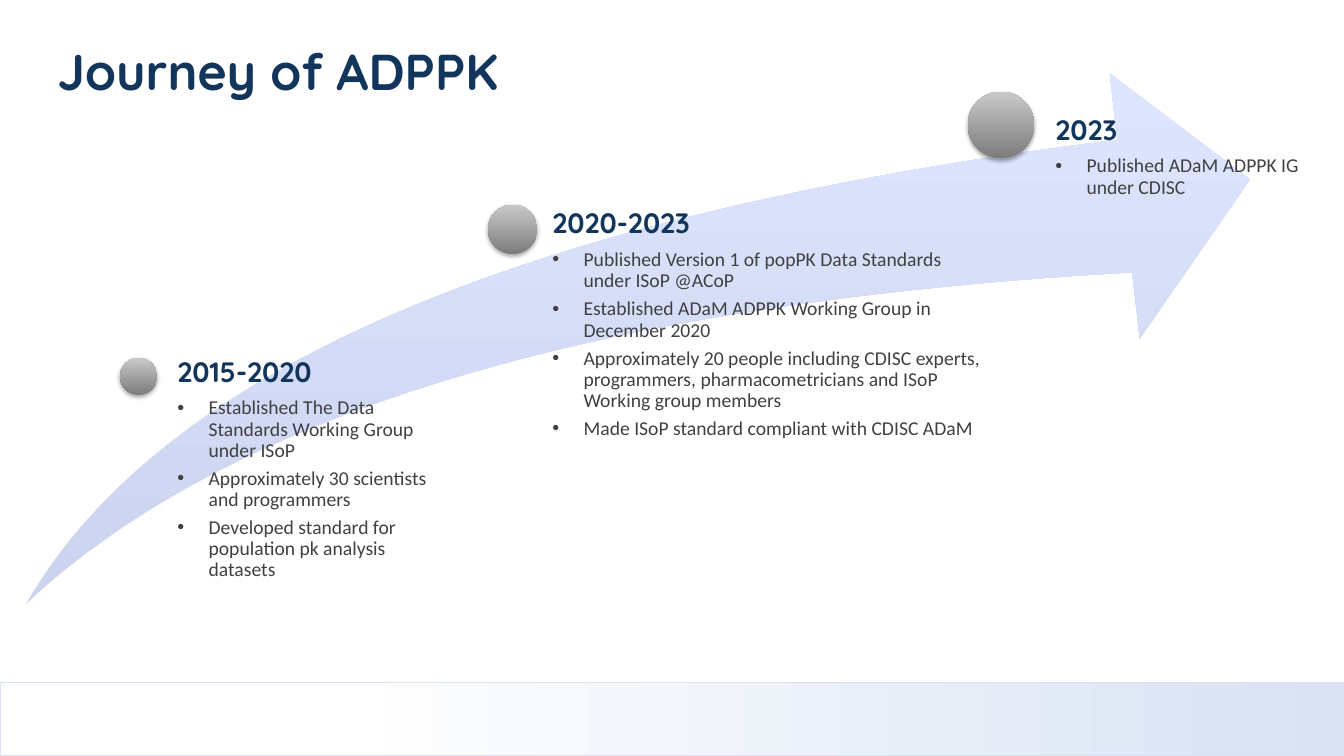
from dataclasses import dataclass
from typing import NamedTuple

from lxml import etree
from pptx import Presentation
from pptx.dml.color import RGBColor
from pptx.enum.shapes import MSO_SHAPE
from pptx.enum.text import MSO_ANCHOR
from pptx.oxml import parse_xml
from pptx.oxml.ns import nsdecls, qn
from pptx.util import Emu, Inches, Pt

RECTANGLE, OVAL, SWOOSH = MSO_SHAPE.RECTANGLE, MSO_SHAPE.OVAL, MSO_SHAPE.SWOOSH_ARROW
TOP, MIDDLE = MSO_ANCHOR.TOP, MSO_ANCHOR.MIDDLE
COLUMNS, ROWS = 160, 90
RIGHTWARD, UPWARD = 0, 270


@dataclass(frozen=True)
class Theme:
    heading_font: str = "Quicksand"
    body_font: str = "Calibri"
    title_size: int = 36
    heading_size: int = 20
    body_size: int = 14
    navy: str = "12355B"
    body: str = "404040"
    band_line: str = "D8E2F3"
    band: tuple = ((0, "FFFFFF"), (25, "FFFFFF"), (100, "D8E2F3"))
    arrow: tuple = ((0, "CBD3EE"), (100, "DEE5FF"))
    dot: tuple = ((0, "7C7C7C"), (100, "C9C9C9"))


class Box(NamedTuple):
    left: float
    top: float
    width: float
    height: float


THEME = Theme()
CELL = Inches(7.5) / ROWS

MILESTONES = [
    (Box(14.28, 42.6, 37.3, 43.3), 4.44, (6.84, 0), "2015-2020", [
        "Established The Data Standards Working Group under ISoP",
        "Approximately 30 scientists and programmers",
        "Developed standard for population pk analysis datasets",
    ]),
    (Box(58.08, 24.36, 59.04, 29.64), 5.88, (7.68, 0.6), "2020-2023", [
        "Published Version 1 of popPK Data Standards under ISoP @ACoP",
        "Established ADaM ADPPK Working Group in December 2020",
        "Approximately 20 people including CDISC experts, programmers, "
        "pharmacometricians and ISoP Working group members",
        "Made ISoP standard compliant with CDISC ADaM",
    ]),
    (Box(115.2, 10.92, 41.64, 60.36), 7.92, (10.44, 2.88), "2023", [
        "Published ADaM ADPPK IG under CDISC",
    ]),
]


def place(box):
    return [Emu(round(length * CELL)) for length in box]


def add_gradient_shape(page, kind, box, stops, angle):
    shape = page.shapes.add_shape(kind, *place(box))
    shape.shadow.inherit = False
    shape.line.fill.background()
    marks = "".join(
        f'<a:gs pos="{share * 1000}"><a:srgbClr val="{color}"/></a:gs>'
        for share, color in stops
    )
    gradient = parse_xml(
        f'<a:gradFill {nsdecls("a")} rotWithShape="1"><a:gsLst>{marks}</a:gsLst>'
        f'<a:lin ang="{angle * 60000}" scaled="0"/></a:gradFill>'
    )
    shape.element.spPr.find(qn("a:prstGeom")).addnext(gradient)
    return shape


def add_text_box(page, box, anchor):
    frame = page.shapes.add_textbox(*place(box)).text_frame
    frame.word_wrap = True
    frame.vertical_anchor = anchor
    frame.margin_left = frame.margin_right = frame.margin_top = frame.margin_bottom = 0
    return frame


def write(para, text, font, size, color, bold):
    para.line_spacing = 0.9
    span = para.add_run()
    span.text = text
    span.font.name = font
    span.font.size = Pt(size)
    span.font.bold = bold
    span.font.color.rgb = RGBColor.from_string(color)


def add_bullet(para):
    properties = para._p.get_or_add_pPr()
    indent = Inches(0.31)
    properties.set("marL", str(indent))
    properties.set("indent", str(-indent))
    etree.SubElement(properties, qn("a:buFont"), typeface="Arial")
    etree.SubElement(properties, qn("a:buChar"), char="•")


def add_band(page, box):
    band = add_gradient_shape(page, RECTANGLE, box, THEME.band, RIGHTWARD)
    band.line.color.rgb = RGBColor.from_string(THEME.band_line)
    band.line.width = Pt(1)


def add_title(page, box, text):
    frame = add_text_box(page, box, MIDDLE)
    write(frame.paragraphs[0], text, THEME.heading_font, THEME.title_size, THEME.navy, True)


def add_arrow(page, box):
    arrow = add_gradient_shape(page, SWOOSH, box, THEME.arrow, UPWARD)
    arrow.adjustments[0] = arrow.adjustments[1] = 0.25


def add_dot(page, box):
    dot = add_gradient_shape(page, OVAL, box, THEME.dot, UPWARD)
    effects = dot.element.spPr.find(qn("a:effectLst"))
    effects.append(parse_xml(
        f'<a:outerShdw {nsdecls("a")} blurRad="{Pt(3.1)}" dist="{Pt(1.8)}" dir="5400000" '
        'rotWithShape="0"><a:srgbClr val="000000"><a:alpha val="35000"/></a:srgbClr>'
        '</a:outerShdw>'
    ))


def add_milestone(page, box, diameter, offset, years, points):
    add_dot(page, Box(box.left, box.top, diameter, diameter))
    across, down = offset
    text_box = Box(box.left + across, box.top + down, box.width - across, box.height - down)
    frame = add_text_box(page, text_box, TOP)
    heading = frame.paragraphs[0]
    heading.space_after = Pt(THEME.heading_size * 0.35)
    write(heading, years, THEME.heading_font, THEME.heading_size, THEME.navy, True)
    for point in points:
        para = frame.add_paragraph()
        para.space_after = Pt(THEME.body_size * 0.35)
        add_bullet(para)
        write(para, point, THEME.body_font, THEME.body_size, THEME.body, False)


def main():
    deck = Presentation()
    deck.slide_width, deck.slide_height = place((COLUMNS, ROWS))
    page = deck.slides.add_slide(deck.slide_layouts[6])
    add_band(page, Box(0, 81.24, COLUMNS, 8.76))
    add_title(page, Box(6.84, 2.76, 138.36, 12.12), "Journey of ADPPK")
    add_arrow(page, Box(3.12, 8.76, 145.68, 63.12))
    for milestone in MILESTONES:
        add_milestone(page, *milestone)
    deck.save("out.pptx")


if __name__ == "__main__":
    main()
